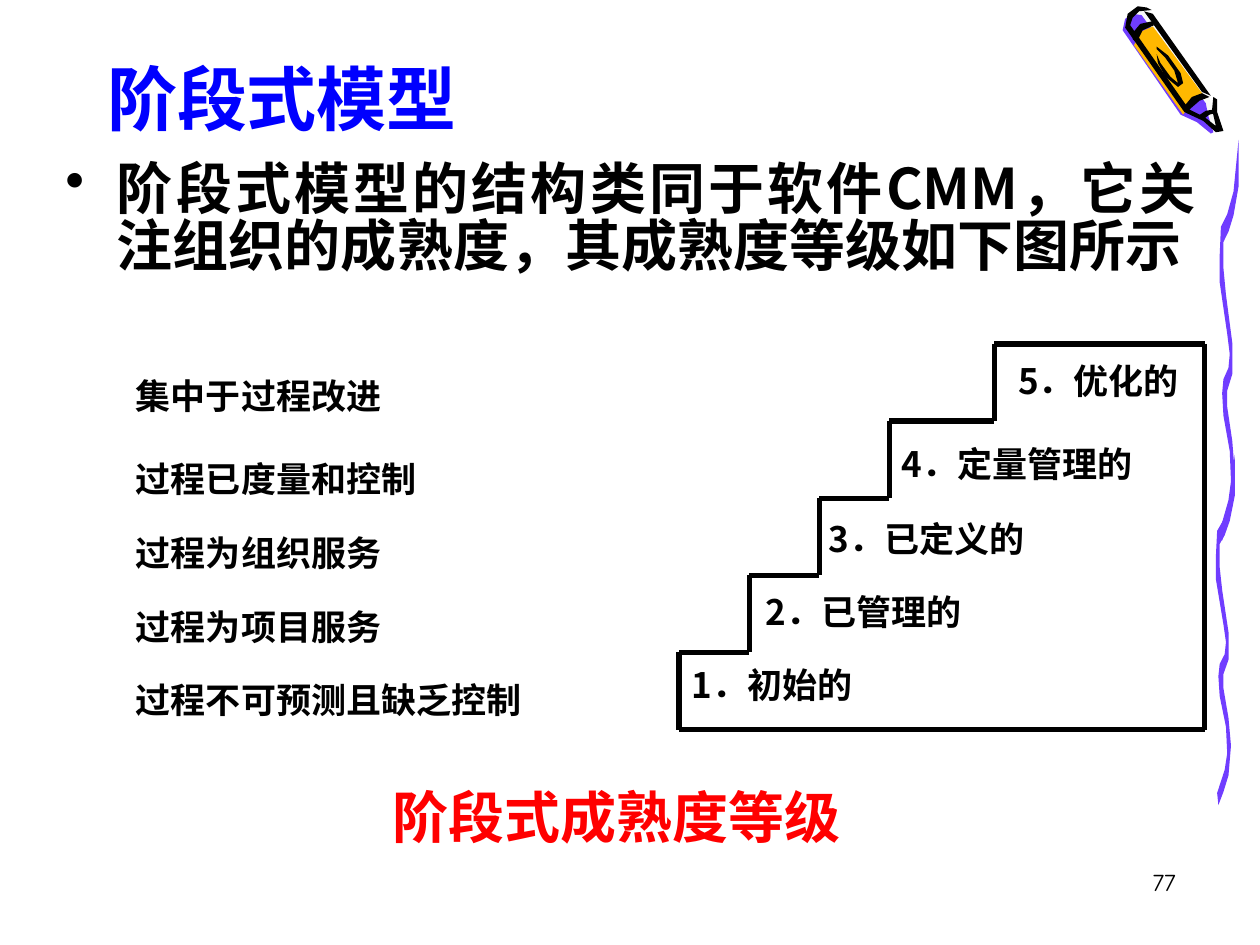
from itertools import pairwise
from typing import NamedTuple

from lxml.etree import SubElement
from pptx import Presentation
from pptx.dml.color import RGBColor
from pptx.enum.shapes import MSO_CONNECTOR
from pptx.enum.text import MSO_ANCHOR, MSO_AUTO_SIZE, PP_ALIGN
from pptx.oxml.ns import qn
from pptx.util import Inches, Pt

COLOURS = {
    "ink": "000000", "title": "0000FF", "caption": "FF0000",
    "purple": "703DFF", "yellow": "FFB800", "white": "F8F8F8",
}
HEADING_FONT = "Noto Sans CJK SC"
NUMBER_FONT = "Comic Neue"
CELL = Inches(0.1)  # the slide is a grid of 100 columns by 75 rows

# Outlines are lists of x, y points; sizes are the drawing areas they fill.
RIBBON_SIZE = (15, 318)
RIBBON = [
    (1, 307), (7, 286), (9, 271), (8, 247), (3, 219), (2, 201), (3, 190),
    (7, 181), (8, 170), (6, 154), (0, 113), (0, 92), (1, 69), (6, 59),
    (11, 41), (15, 0), (15, 37), (11, 60), (7, 73), (3, 81), (3, 102),
    (5, 123), (10, 161), (10, 186), (6, 199), (6, 212), (10, 239),
    (12, 264), (10, 291), (6, 306), (2, 318),
]
CRAYON_SIZE = (80, 101)
CRAYON = [
    ("white", [(77, 95), (72, 81), (62, 59), (20, 2), (13, 1), (6, 6),
               (5, 15), (50, 81), (65, 88), (75, 97)]),
    ("purple", [(15, 7), (66, 77), (68, 87), (72, 100), (70, 101), (59, 92),
                (46, 86), (0, 19), (2, 10), (8, 6)]),
    ("yellow", [(9, 31), (48, 86), (56, 75), (66, 73), (24, 16), (15, 20)]),
    ("ink", [(72, 82), (66, 83), (60, 87), (65, 89), (69, 86), (73, 85)]),
    ("ink", [(19, 1), (12, 0), (4, 6), (2, 17), (49, 84), (64, 91),
             (74, 100), (80, 99), (75, 84), (75, 74), (72, 72), (71, 82),
             (74, 95), (65, 88), (53, 82), (61, 75), (69, 72), (63, 69),
             (55, 72), (50, 78), (6, 15), (8, 9), (13, 4), (23, 3)]),
    ("ink", [(24, 6), (70, 71), (63, 68), (17, 4)]),
    ("ink", [(23, 12), (14, 14), (9, 20), (8, 26), (11, 29), (16, 19),
             (25, 15)]),
    ("ink", [(27, 34), (34, 41), (41, 51), (44, 61), (38, 56), (30, 45),
             (27, 38), (28, 45), (34, 56), (44, 64), (48, 61), (46, 53),
             (36, 39), (27, 32)]),
]

# Level name, meaning, label column, label width in columns; bottom step first.
LEVELS = [
    ("1．初始的", "过程不可预测且缺乏控制", 0, 4),
    ("2．已管理的", "过程为项目服务", 1.06, 4),
    ("3．已定义的", "过程为组织服务", 1.96, 4),
    ("4．定量管理的", "过程已度量和控制", 3, 4),
    ("5．优化的", "集中于过程改进", 4.66, 2.9),
]
LABEL_TOPS = [24.1, 18.3, 12.5, 6.6, 0]  # rows below the top of the staircase
STEP_COLUMNS = [0, 1, 2, 3, 4.5, 7.5]


class Box(NamedTuple):
    left: float
    top: float
    width: float
    height: float

    def lengths(self):
        return [round(value * CELL) for value in self]


def format_text(shape, text, size, colour="ink", font=HEADING_FONT, bold=True,
                anchor=MSO_ANCHOR.TOP, **paragraph_format):
    frame = shape.text_frame
    frame.text = text
    frame_format = {"word_wrap": True, "auto_size": MSO_AUTO_SIZE.NONE,
                    "vertical_anchor": anchor}
    paragraph = frame.paragraphs[0]
    run_font = paragraph.runs[0].font
    font_format = {"name": font, "size": Pt(size), "bold": bold}
    for target, values in ((frame, frame_format), (paragraph, paragraph_format),
                           (run_font, font_format)):
        for name, value in values.items():
            setattr(target, name, value)
    run_font.color.rgb = RGBColor.from_string(COLOURS[colour])
    east_asian = SubElement(run_font._element, qn("a:ea"))
    east_asian.set("typeface", font)
    return paragraph


def add_text(slide, box, text, size, **text_format):
    shape = slide.shapes.add_textbox(*box.lengths())
    return format_text(shape, text, size, **text_format)


def add_outline(slide, box, size, points, colour):
    """Draw a filled outline, stretching its drawing area to the box."""
    left, top, width, height = box.lengths()
    builder = slide.shapes.build_freeform(
        *points[0], scale=(width / size[0], height / size[1]))
    builder.add_line_segments(points[1:], close=True)
    shape = builder.convert_to_shape(left, top)
    shape.shadow.inherit = False
    shape.fill.solid()
    shape.fill.fore_color.rgb = RGBColor.from_string(COLOURS[colour])
    shape.line.fill.background()


def add_ribbon(slide, box):
    add_outline(slide, box, RIBBON_SIZE, RIBBON, "purple")


def add_crayon(slide, box):
    for colour, points in CRAYON:
        add_outline(slide, box, CRAYON_SIZE, points, colour)


def add_title(slide, box, text):
    title = slide.shapes.title
    title.left, title.top, title.width, title.height = box.lengths()
    format_text(title, text, 40, colour="title", anchor=MSO_ANCHOR.BOTTOM,
                alignment=PP_ALIGN.LEFT)


def add_bullet_text(slide, box, text):
    paragraph = add_text(slide, box, text, 32, alignment=PP_ALIGN.JUSTIFY,
                         line_spacing=0.85)
    properties = paragraph._p.get_or_add_pPr()
    properties.set("marL", str(Inches(0.41)))
    properties.set("indent", str(-Inches(0.41)))
    bullet_colour = SubElement(properties, qn("a:buClr"))
    SubElement(bullet_colour, qn("a:srgbClr")).set("val", COLOURS["ink"])
    SubElement(properties, qn("a:buChar")).set("char", "•")


def add_line(slide, start, end):
    ends = [round(value * CELL) for value in (*start, *end)]
    connector = slide.shapes.add_connector(MSO_CONNECTOR.STRAIGHT, *ends)
    connector.line.width = Pt(3)
    connector.line.color.rgb = RGBColor.from_string(COLOURS["ink"])
    SubElement(connector._element.spPr, qn("a:effectLst"))


def add_staircase(slide, box):
    column = box.width / STEP_COLUMNS[-1]
    row = box.height / len(LEVELS)
    bottom = box.top + box.height
    corners = [(box.left, bottom)]
    for step, (start, end) in enumerate(pairwise(STEP_COLUMNS), 1):
        height = bottom - step * row
        corners += [(box.left + start * column, height),
                    (box.left + end * column, height)]
    corners += [(box.left + box.width, bottom), corners[0]]
    for start, end in pairwise(corners):
        add_line(slide, start, end)
    for (name, _, offset, width), top in zip(LEVELS, LABEL_TOPS):
        label = Box(box.left + offset * column, box.top + top,
                    width * column, 5.8)
        add_text(slide, label, name, 20, anchor=MSO_ANCHOR.MIDDLE)


def add_meanings(slide, box):
    for (_, meaning, _, _), top in zip(LEVELS, LABEL_TOPS):
        add_text(slide, Box(box.left, box.top + top, box.width, 6.2), meaning,
                 20, alignment=PP_ALIGN.JUSTIFY, line_spacing=0.9)


def main():
    presentation = Presentation()
    presentation.slide_width = 100 * CELL
    presentation.slide_height = 75 * CELL
    slide = presentation.slides.add_slide(presentation.slide_layouts[5])

    add_ribbon(slide, Box(96.5, 36.1, 1.5, 27.8))
    add_ribbon(slide, Box(96.8, 11.1, 1.5, 31.8))
    add_crayon(slide, Box(89.1, 0.5, 8, 10.1))
    add_text(slide, Box(73.5, 68.3, 20.8, 5), "77", 14, font=NUMBER_FONT,
             bold=False, alignment=PP_ALIGN.RIGHT)
    add_title(slide, Box(7.5, 3.3, 85, 8.3), "阶段式模型")
    add_bullet_text(slide, Box(4.2, 12.5, 91.7, 59.2),
                    "阶段式模型的结构类同于软件CMM，它关注组织的成熟度，其成熟度等级如下图所示")
    add_staircase(slide, Box(53.9, 27.3, 41.7, 30.6))
    add_meanings(slide, Box(9.8, 29.6, 34.1, 30.3))
    add_text(slide, Box(27.3, 60.6, 43.3, 8.3), "阶段式成熟度等级", 32,
             colour="caption", anchor=MSO_ANCHOR.MIDDLE,
             alignment=PP_ALIGN.CENTER)
    presentation.save("out.pptx")


if __name__ == "__main__":
    main()
